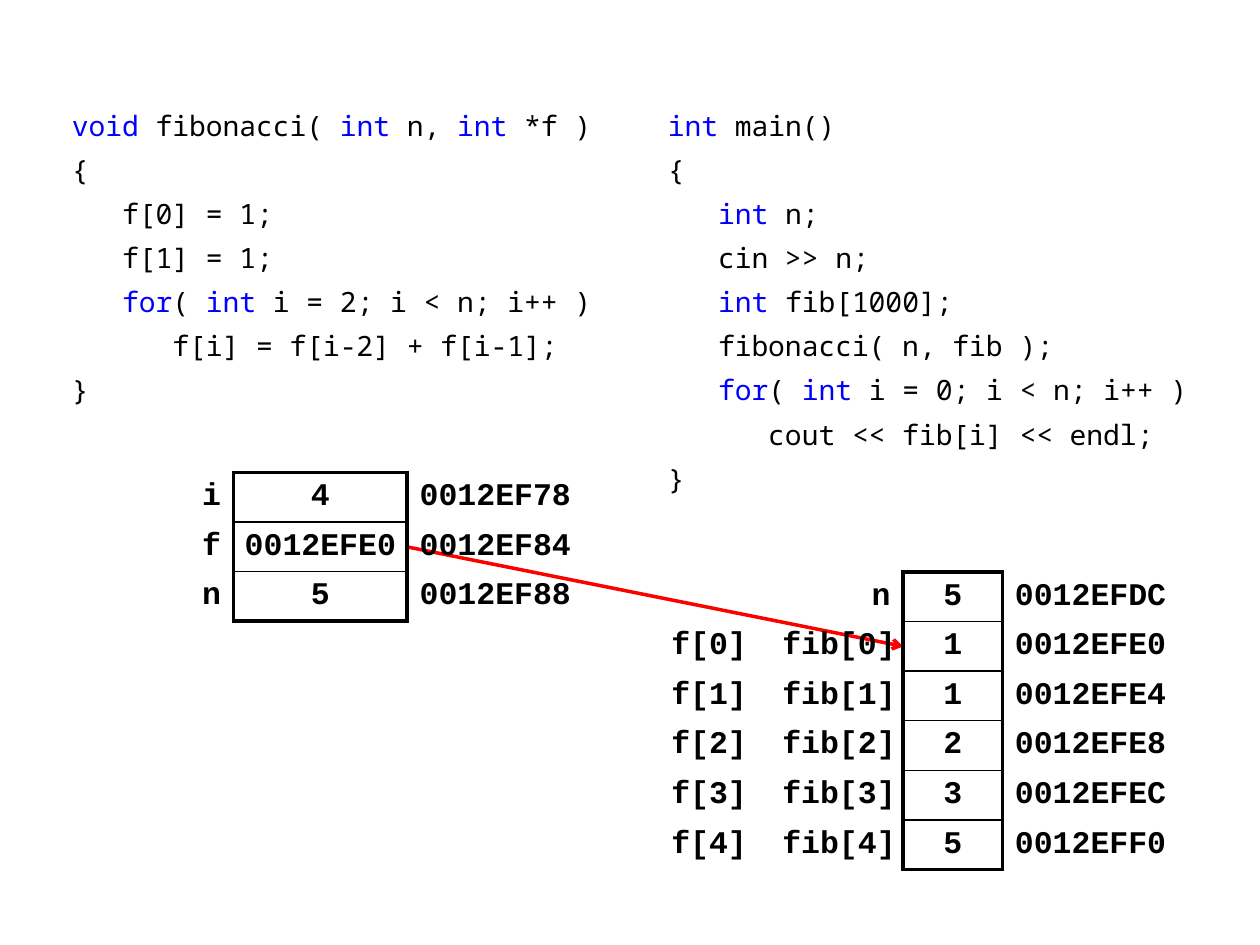
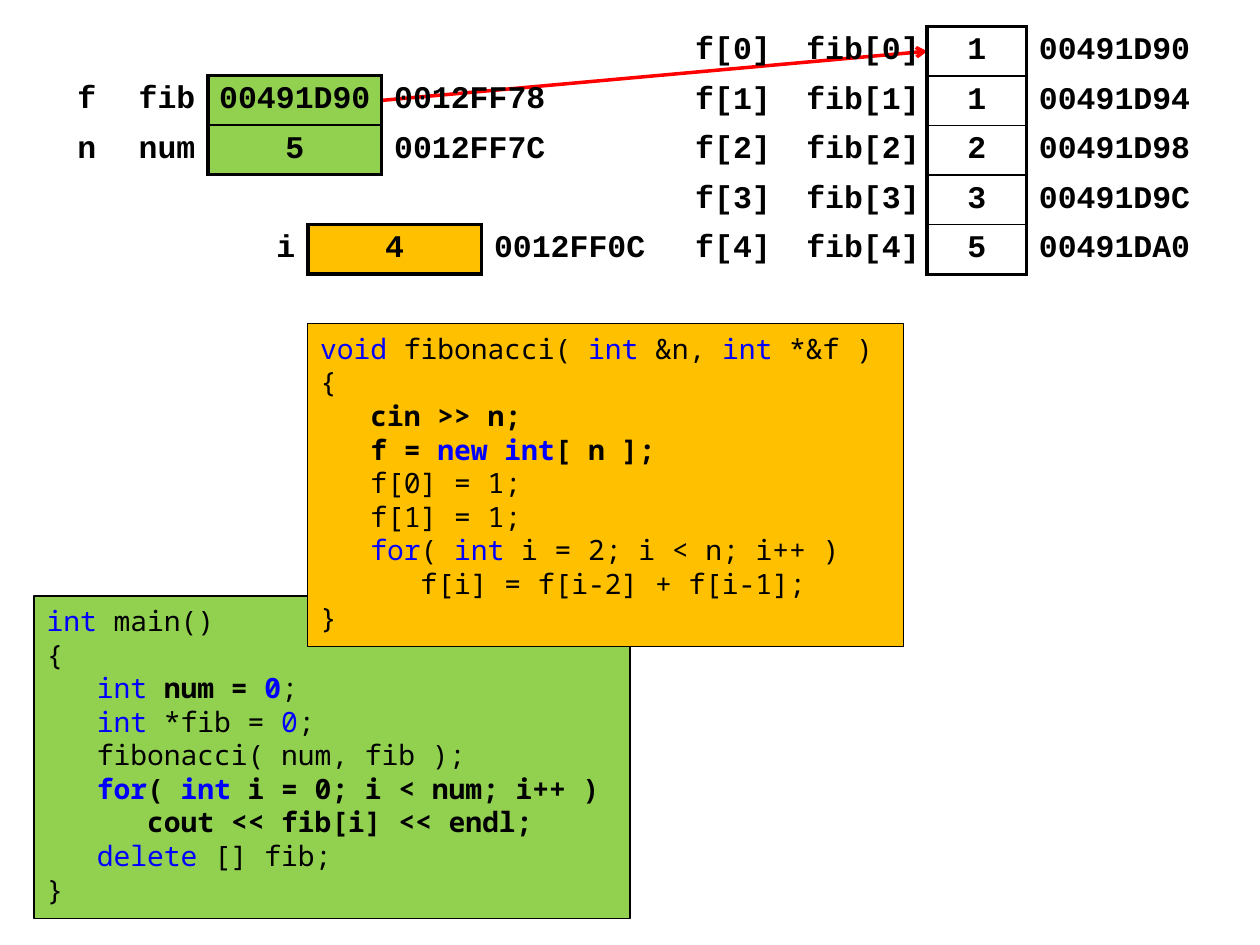
from dataclasses import dataclass

from lxml import etree
from pptx import Presentation
from pptx.dml.color import RGBColor
from pptx.enum.shapes import MSO_CONNECTOR
from pptx.enum.text import MSO_ANCHOR, MSO_AUTO_SIZE, PP_ALIGN
from pptx.oxml import parse_xml
from pptx.oxml.ns import nsdecls, qn
from pptx.util import Inches, Pt

STRAIGHT = MSO_CONNECTOR.STRAIGHT
LEFT, CENTER, RIGHT = PP_ALIGN.LEFT, PP_ALIGN.CENTER, PP_ALIGN.RIGHT
TOP, MIDDLE = MSO_ANCHOR.TOP, MSO_ANCHOR.MIDDLE
NO_AUTOFIT = MSO_AUTO_SIZE.NONE

COLORS = {
    "text": "000000",
    "keyword": "0000FF",
    "arrow": "FF0000",
    "main": "92D050",
    "function": "FFC000",
}
CODE_FONT, MEMORY_FONT = "Noto Sans Mono", "Courier New"
CELL = 1 / 2.54  # the diagrams sit on a one-centimetre grid
THICK, THIN = 2.25, 1
PLAIN_TABLE = "{2D5ABB26-0587-4C30-8999-92F81FD0307C}"

# In the code, |...| marks keywords and ~...~ marks bold text.
FILL_ARRAY = """   f[0] = 1;
   f[1] = 1;
   |for|( |int |i = 2; i < n; i++ )
      f[i] = f[i-2] + f[i-1];
}"""

FIBONACCI_STATIC = """|void |fibonacci( |int| n, |int| *f )
{
""" + FILL_ARRAY

MAIN_STATIC = """|int| main()
{
   |int| n;
   cin >> n;
   |int| fib[1000];
   fibonacci( n, fib );
   |for|( |int |i = 0; i < n; i++ )
      cout << fib[i] << endl;
}"""

FIBONACCI_DYNAMIC = """|void |fibonacci( |int| &n, |int| *&f )
{
~   cin >> n;~
~   f = |new int|[ n ];~
""" + FILL_ARRAY

MAIN_DYNAMIC = """|int| main()
{
   |int |~num = |0|~;
   |int| *fib = |0|;
   fibonacci( num, fib );
~   |for|( |int |i = 0; i < num; i++ )~
~      cout << fib[i] << endl;~
   |delete| [] fib;
}"""


def rgb(name):
    return RGBColor.from_string(COLORS[name])


@dataclass
class Memory:
    """Rows of names, value and address; column widths are in grid cells."""
    left: float
    top: float
    cols: list
    rows: list
    fill: str = ""

    def value_edge(self, row, right=False):
        """Middle of the left or right side of a value cell, in inches."""
        count = len(self.cols) - (1 if right else 2)
        return (self.left + sum(self.cols[:count]) * CELL,
                self.top + (row + 0.5) * CELL)


def array_rows(first_address):
    return [(f"f[{i}]", f"fib[{i}]", str(value), f"{first_address + 4 * i:08X}")
            for i, value in enumerate([1, 1, 2, 3, 5])]


class Deck:
    def __init__(self):
        self.prs = Presentation()
        self.prs.slide_width, self.prs.slide_height = Inches(10), Inches(7.5)
        self.s = None

    def new_slide(self):
        self.s = self.prs.slides.add_slide(self.prs.slide_layouts[3])
        title = self.s.shapes.title._element
        title.getparent().remove(title)

    def run(self, p, text, font, size, color="text", bold=False):
        r = p.add_run()
        r.text = text
        r.font.name, r.font.size, r.font.bold = font, Pt(size), bold
        r.font.color.rgb = rgb(color)

    def code(self, idx, box, source, gap=0, fill=""):
        sp = self.s.placeholders[idx]
        sp.left, sp.top, sp.width, sp.height = map(Inches, box)
        if fill:
            sp.fill.solid()
            sp.fill.fore_color.rgb = rgb(fill)
            sp.line.color.rgb = rgb("text")
            sp.line.width = Pt(0.75)
        tf = sp.text_frame
        tf.word_wrap, tf.auto_size, tf.vertical_anchor = True, NO_AUTOFIT, TOP
        tf.margin_left, tf.margin_right = Inches(0.1), 0
        tf.margin_top, tf.margin_bottom = Inches(0.06), Inches(0.05)
        for n, line in enumerate(source.splitlines()):
            p = tf.add_paragraph() if n else tf.paragraphs[0]
            pPr = p._p.get_or_add_pPr()
            pPr.set("marL", "0")
            pPr.set("indent", "0")
            etree.SubElement(pPr, qn("a:buNone"))
            p.alignment, p.line_spacing = LEFT, Pt(19.2)
            p.space_before, p.space_after = Pt(gap if n else 0), Pt(0)
            for i, part in enumerate(line.split("~")):
                for j, text in enumerate(part.split("|")):
                    if text:
                        color = "keyword" if j % 2 else "text"
                        self.run(p, text, CODE_FONT, 16, color, bool(i % 2))

    def border(self, cell, **widths):
        """Draw the given sides, which must come in the order L, R, T, B."""
        tcPr = cell._tc.get_or_add_tcPr()
        for side, width in widths.items():
            tcPr.append(parse_xml(
                f'<a:ln{side} {nsdecls("a")} w="{Pt(width)}"><a:solidFill>'
                f'<a:srgbClr val="{COLORS["text"]}"/></a:solidFill></a:ln{side}>'))

    def memory(self, m):
        rows, cols = len(m.rows), len(m.cols)
        frame = self.s.shapes.add_table(
            rows, cols, Inches(m.left), Inches(m.top),
            Inches(sum(m.cols) * CELL), Inches(rows * CELL))
        table = frame.table
        table.first_row = table.horz_banding = False
        table._tbl.tblPr.find(qn("a:tableStyleId")).text = PLAIN_TABLE
        for column, width in zip(table.columns, m.cols):
            column.width = Inches(width * CELL)
        value, address = cols - 2, cols - 1
        for i, texts in enumerate(m.rows):
            table.rows[i].height = Inches(CELL)
            for j, text in enumerate(texts):
                cell = table.cell(i, j)
                cell.vertical_anchor = MIDDLE
                cell.margin_top = cell.margin_bottom = Inches(0.04)
                p = cell.text_frame.paragraphs[0]
                if j == value:
                    p.alignment = CENTER
                    cell.margin_left = cell.margin_right = Inches(0.08)
                    self.border(cell, L=THICK, R=THICK, T=THIN if i else THICK,
                                B=THIN if i < rows - 1 else THICK)
                elif j == address:
                    p.alignment = LEFT
                    cell.margin_left, cell.margin_right = Inches(0.1), 0
                    self.border(cell, L=THICK)
                else:
                    p.alignment = RIGHT
                    cell.margin_left = Inches(0.08)
                    cell.margin_right = Inches(0.06 if "[" in text else 0.1)
                    if j == value - 1:
                        self.border(cell, R=THICK)
                if j == value and m.fill:
                    cell.fill.solid()
                    cell.fill.fore_color.rgb = rgb(m.fill)
                else:
                    cell.fill.background()
                if text:
                    self.run(p, text, MEMORY_FONT, 18, bold=True)

    def pointer(self, start, end):
        points = map(Inches, (*start, *end))
        line = self.s.shapes.add_connector(STRAIGHT, *points)
        line.line.color.rgb = rgb("arrow")
        line.line.width = Pt(2)
        etree.SubElement(line.line._get_or_add_ln(), qn("a:tailEnd"), type="arrow")
        etree.SubElement(line._element.spPr, qn("a:effectLst"))


def static_array(deck):
    deck.new_slide()
    deck.code(1, (0.47, 0.8, 4.33, 2.56), FIBONACCI_STATIC, gap=6)
    deck.code(2, (5.2, 0.8, 4.33, 3.15), MAIN_STATIC, gap=6)
    local = Memory(1.46, 3.75, [1, 3.5, 3.5], [
        ("i", "4", "0012EF78"),
        ("f", "0012EFE0", "0012EF84"),
        ("n", "5", "0012EF88"),
    ])
    caller = Memory(5.2, 4.54, [2, 3, 2, 4],
                    [("", "n", "5", "0012EFDC"), *array_rows(0x0012EFE0)])
    deck.pointer(local.value_edge(1, right=True), caller.value_edge(1))
    deck.memory(local)
    deck.memory(caller)


def dynamic_array(deck):
    deck.new_slide()
    deck.code(1, (0.27, 4.73, 4.73, 2.56), MAIN_DYNAMIC, fill="main")
    deck.code(2, (2.44, 2.57, 4.73, 2.56), FIBONACCI_DYNAMIC, fill="function")
    heap = Memory(5.39, 0.21, [2, 3, 2, 4], array_rows(0x00491D90))
    caller = Memory(0.47, 0.6, [1, 2, 3.5, 3.5], [
        ("f", "fib", "00491D90", "0012FF78"),
        ("n", "num", "5", "0012FF7C"),
    ], "main")
    local = Memory(2.05, 1.78, [1, 3.5, 3.5], [("i", "4", "0012FF0C")], "function")
    deck.pointer(caller.value_edge(0, right=True), heap.value_edge(0))
    for memory in (heap, caller, local):
        deck.memory(memory)


def main():
    deck = Deck()
    static_array(deck)
    dynamic_array(deck)
    deck.prs.save("out.pptx")


if __name__ == "__main__":
    main()
